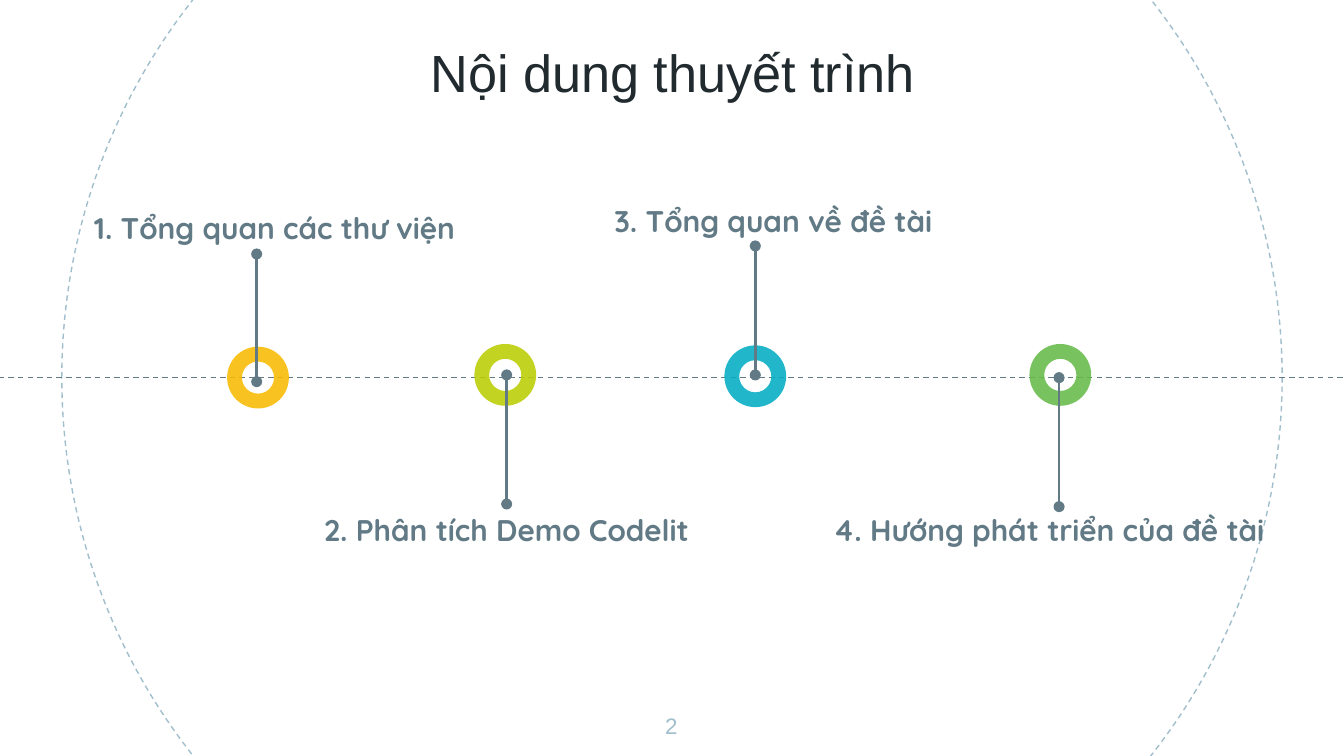
"""Build a four-step timeline slide for a talk outline."""
from lxml import etree
from pptx import Presentation
from pptx.dml.color import RGBColor
from pptx.enum import dml, shapes, text
from pptx.oxml import ns
from pptx.util import Inches, Pt

INK = RGBColor(0x21, 0x2A, 0x2E)
SLATE = RGBColor(0x61, 0x7A, 0x86)
MIST = RGBColor(0xA1, 0xBE, 0xCC)
AMBER = RGBColor(0xF8, 0xBB, 0x00)
LIME = RGBColor(0xBB, 0xCD, 0x00)
TEAL = RGBColor(0x00, 0xAC, 0xC3)
GREEN = RGBColor(0x65, 0xBB, 0x48)

TITLE = "Nội dung thuyết trình"
PAGE = "2"
STEPS = [
    dict(label="1. Tổng quan các thư viện", box=(0.58, 1.46, 2.93),
         ring=(1.69, 2.58), color=AMBER, stem=(1.91, 2.84, 1.89)),
    dict(label="2. Phân tích Demo Codelit", box=(2.05, 3.71, 3.44),
         ring=(3.53, 2.56), color=LIME, stem=(3.77, 2.79, 3.75)),
    dict(label="3. Tổng quan về đề tài", box=(3.63, 1.41, 4.25),
         ring=(5.39, 2.57), color=TEAL, stem=(5.62, 2.79, 1.83)),
    dict(label="4. Hướng phát triển của đề tài", box=(5.68, 3.71, 4.25),
         ring=(7.66, 2.56), color=GREEN, stem=(7.88, 2.81, 3.77)),
]
RING = 0.46
AXIS = 2.81


def add_tag(node, name, **attrs):
    return etree.SubElement(node, ns.qn(name), **attrs)


def add_text(slide, words, box, font, size, color, bold=False, low=False):
    shape = slide.shapes.add_textbox(*map(Inches, box))
    frame = shape.text_frame
    frame.word_wrap = True
    frame.margin_left = frame.margin_right = Inches(0.1)
    frame.margin_top = frame.margin_bottom = Inches(0.1)
    frame.vertical_anchor = text.MSO_ANCHOR.BOTTOM if low else text.MSO_ANCHOR.TOP
    para = frame.paragraphs[0]
    para.text = words
    para.alignment = text.PP_ALIGN.CENTER
    para.font.name = font
    para.font.size = Pt(size)
    para.font.bold = bold
    para.font.color.rgb = color


def set_line(line, color, width, dash=False):
    line.color.rgb = color
    line.width = Pt(width)
    if dash:
        line.dash_style = dml.MSO_LINE.DASH


def add_line(slide, start, end, width, dash=False, dots=False):
    ends = map(Inches, start + end)
    link = slide.shapes.add_connector(shapes.MSO_CONNECTOR.STRAIGHT, *ends)
    set_line(link.line, SLATE, width, dash)
    if dots:
        for name in ("a:headEnd", "a:tailEnd"):
            add_tag(link.line._get_or_add_ln(), name, type="oval")
    add_tag(link._element.spPr, "a:effectLst")


def add_ring(slide, spot, color):
    ring = slide.shapes.add_shape(
        shapes.MSO_SHAPE.DONUT, *map(Inches, spot + (RING, RING)))
    ring.shadow.inherit = False
    ring.adjustments[0] = 0.24
    ring.fill.solid()
    ring.fill.fore_color.rgb = color
    tint = ring._element.spPr.find(".//" + ns.qn("a:srgbClr"))
    add_tag(tint, "a:alpha", val="87000")
    ring.line.fill.background()


def main():
    deck = Presentation()
    deck.slide_width = Inches(10)
    deck.slide_height = deck.slide_width * 9 // 16
    slide = deck.slides.add_slide(deck.slide_layouts[6])

    orb = slide.shapes.add_shape(
        shapes.MSO_SHAPE.OVAL, *map(Inches, (0.46, -1.73, 9.08, 9.08)))
    orb.shadow.inherit = False
    orb.fill.background()
    set_line(orb.line, MIST, 0.75, dash=True)

    add_line(slide, (-0.01, AXIS), (10.01, AXIS), 0.75, dash=True)
    add_text(slide, TITLE, (2.12, 0.17, 5.77, 0.7), "Arial", 28, INK, low=True)
    for step in STEPS:
        add_ring(slide, step["ring"], step["color"])
        x, start, end = step["stem"]
        add_line(slide, (x, start), (x, end), 1.5, dots=True)
        add_text(slide, step["label"], step["box"] + (0.45,),
                 "Quicksand", 16, SLATE, bold=True)
    add_text(slide, PAGE, (4.74, 5.2, 0.51, 0.43), "Arial", 12, MIST)
    deck.save("out.pptx")


if __name__ == "__main__":
    main()
